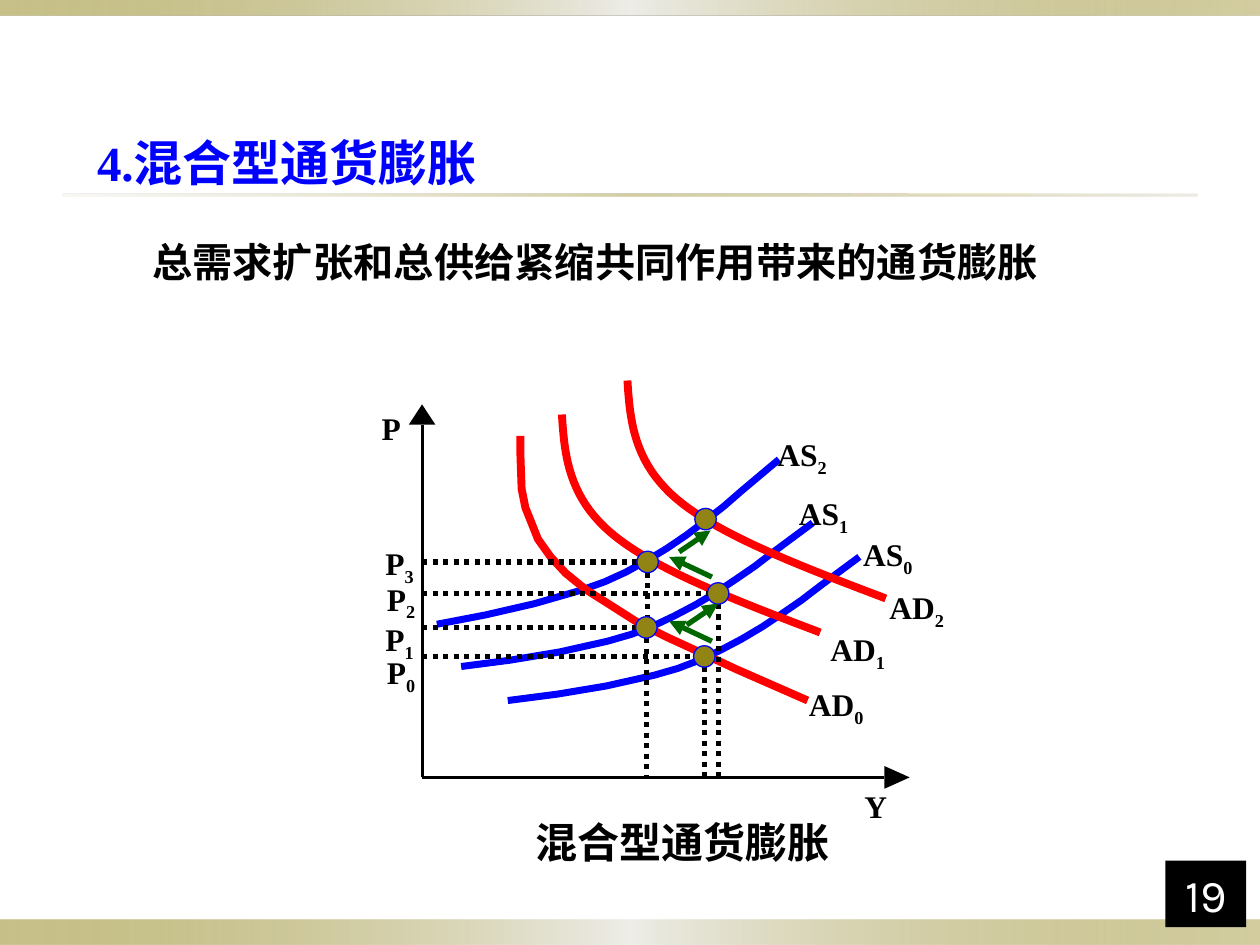
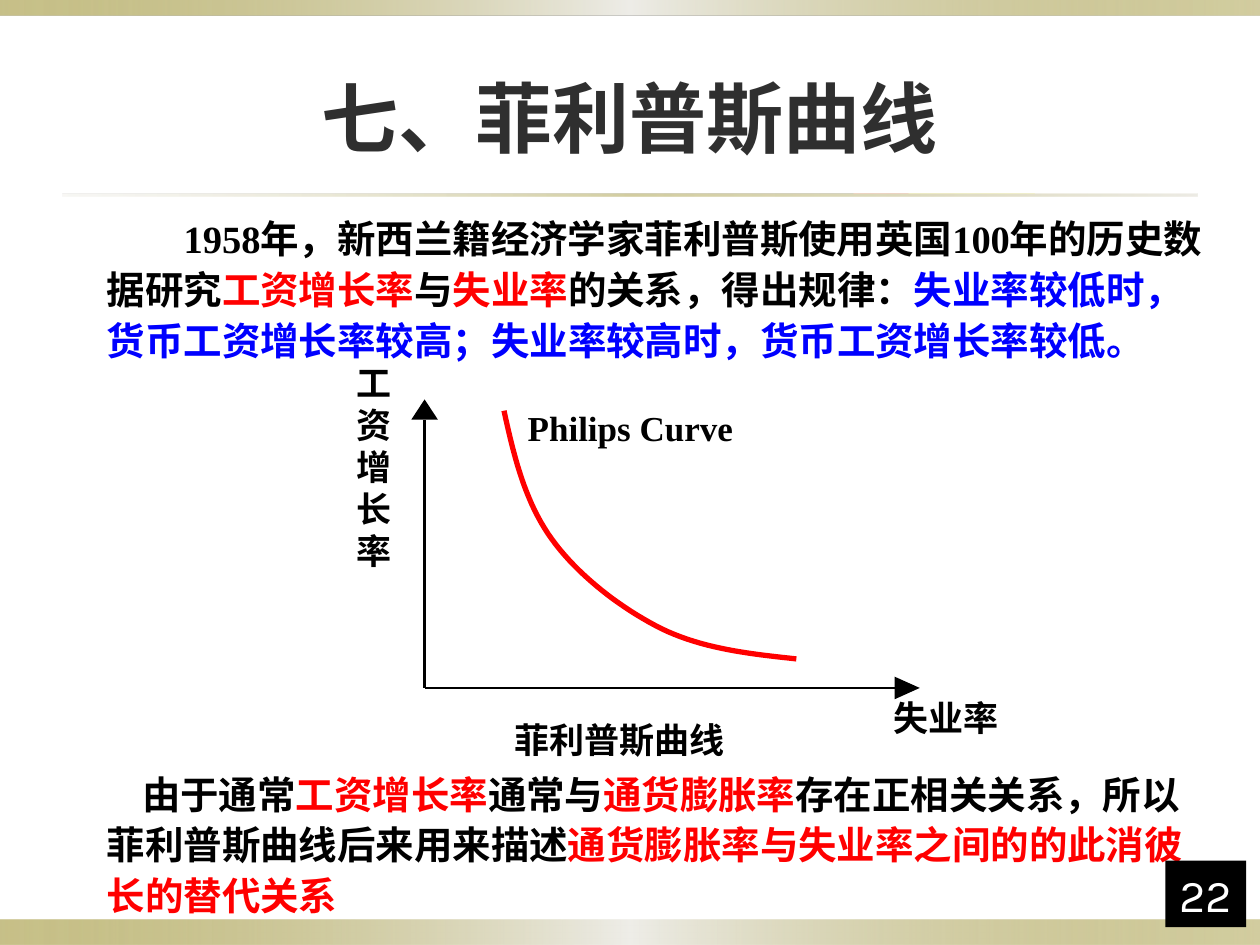
from dataclasses import dataclass
from math import cos, radians, sin

from lxml import etree
from pptx import Presentation
from pptx.dml.color import RGBColor
from pptx.enum.dml import MSO_LINE
from pptx.enum.shapes import MSO_CONNECTOR, MSO_SHAPE
from pptx.enum.text import MSO_ANCHOR, MSO_AUTO_SIZE, PP_ALIGN
from pptx.oxml import parse_xml
from pptx.oxml.ns import qn
from pptx.util import Inches, Pt

STRAIGHT = MSO_CONNECTOR.STRAIGHT
RECTANGLE, OVAL = MSO_SHAPE.RECTANGLE, MSO_SHAPE.OVAL
DOTTED = MSO_LINE.ROUND_DOT
MIDDLE, BOTTOM = MSO_ANCHOR.MIDDLE, MSO_ANCHOR.BOTTOM
LEFT, CENTER = PP_ALIGN.LEFT, PP_ALIGN.CENTER
NO_AUTOFIT = MSO_AUTO_SIZE.NONE

COLORS = {"olive": "918415", "pale": "EEEDE8", "sand": "DCD9CC", "black": "000000",
          "white": "FFFFFF", "blue": "0000FF", "red": "FF0000", "green": "006600",
          "charcoal": "2F2F2F"}
SERIF, SANS, CJK, NUMERALS = "Times New Roman", "Arial", "Noto Sans CJK SC", "Karla"
BAND = [(0, "olive", 50), (50, "pale", 100), (100, "olive", 40)]
RULE = [(0, "sand", 20), (50, "olive", 40), (100, "sand", 50)]
TITLE_ONLY = 5
CELL = 0.1


@dataclass
class Grid:
    slide: object
    column: float = 0
    row: float = 0

    def x(self, columns):
        return Inches((self.column + columns) * CELL)

    def y(self, rows):
        return Inches((self.row + rows) * CELL)

    def box(self, left, top, width, height):
        return self.x(left), self.y(top), Inches(width * CELL), Inches(height * CELL)


def rgb(name):
    return RGBColor.from_string(COLORS[name])


def style_run(run, size, font, color, bold=True):
    run.font.size, run.font.bold, run.font.name = Pt(size), bold, font
    run.font.color.rgb = rgb(color)
    etree.SubElement(run.font._element, qn("a:ea")).set("typeface", CJK)


def add_text(grid, box, pieces, size, font=SERIF, inset=0, wrap=True, indent=0, spacing=None):
    frame = grid.slide.shapes.add_textbox(*grid.box(*box)).text_frame
    frame.word_wrap = wrap
    frame.margin_left = frame.margin_right = Inches(inset)
    frame.margin_top = frame.margin_bottom = Inches(inset / 2)
    paragraph = frame.paragraphs[0]
    properties = paragraph._p.get_or_add_pPr()
    properties.set("marL", "0")
    properties.set("indent", str(Inches(indent * CELL)))
    if spacing:
        paragraph.line_spacing = spacing
    for text, color in pieces:
        run = paragraph.add_run()
        run.text = text
        style_run(run, size, font, color)
    return frame


def add_label(grid, left, top, text, subscript=""):
    pieces = [(part, "black") for part in (text, subscript) if part]
    frame = add_text(grid, (left, top, 5, 3), pieces, 18, wrap=False)
    if subscript:
        frame.paragraphs[0].runs[1].font._element.set("baseline", "-25000")


def add_filled(grid, kind, box, color):
    shape = grid.slide.shapes.add_shape(kind, *grid.box(*box))
    shape.shadow.inherit = False
    shape.fill.solid()
    shape.fill.fore_color.rgb = rgb(color)
    shape.line.fill.background()
    return shape


def add_gradient(grid, box, stops):
    shape = add_filled(grid, RECTANGLE, box, "olive")
    marks = "".join(
        f'<a:gs pos="{place * 1000}"><a:srgbClr val="{COLORS[color]}">'
        f'<a:alpha val="{opacity * 1000}"/></a:srgbClr></a:gs>'
        for place, color, opacity in stops)
    gradient = parse_xml(
        '<a:gradFill xmlns:a="http://schemas.openxmlformats.org/drawingml/2006/main" '
        f'rotWithShape="1"><a:gsLst>{marks}</a:gsLst><a:lin ang="0" scaled="0"/></a:gradFill>')
    solid = shape._element.spPr.find(qn("a:solidFill"))
    solid.getparent().replace(solid, gradient)


def add_line(grid, start, end, color, width, dash=None, arrow=False):
    line = grid.slide.shapes.add_connector(
        STRAIGHT, grid.x(start[0]), grid.y(start[1]), grid.x(end[0]), grid.y(end[1]))
    line.line.color.rgb = rgb(color)
    line.line.width = Pt(width)
    if dash:
        line.line.dash_style = dash
    if arrow:
        etree.SubElement(line.line._get_or_add_ln(), qn("a:tailEnd")).set("type", "triangle")
    etree.SubElement(line._element.spPr, qn("a:effectLst"))


def add_outline(grid, points, close=False):
    corners = [(grid.x(x), grid.y(y)) for x, y in points]
    builder = grid.slide.shapes.build_freeform(*corners[0])
    builder.add_line_segments(corners[1:], close=close)
    outline = builder.convert_to_shape()
    outline.shadow.inherit = False
    return outline


def add_curve(grid, points, color, width):
    curve = add_outline(grid, points)
    curve.fill.background()
    curve.line.color.rgb = rgb(color)
    curve.line.width = Pt(width)


def add_axes(grid, origin, right, top, width):
    x, y = origin
    for end, head in (((right, y), [(right, y - 0.9), (right + 2, y), (right, y + 0.9)]),
                      ((x, top), [(x - 1.05, top), (x, top - 1.6), (x + 1.05, top)])):
        add_line(grid, origin, end, "black", width)
        arrowhead = add_outline(grid, head, close=True)
        arrowhead.fill.solid()
        arrowhead.fill.fore_color.rgb = rgb("black")
        arrowhead.line.fill.background()


def smooth(knots, steps=20):
    points = [knots[0]]
    for first in range(0, len(knots) - 1, 3):
        a, b, c, d = knots[first:first + 4]
        for step in range(1, steps + 1):
            t = step / steps
            weights = (1 - t) ** 3, 3 * t * (1 - t) ** 2, 3 * t * t * (1 - t), t ** 3
            points.append(tuple(sum(w * p[axis] for w, p in zip(weights, (a, b, c, d)))
                                for axis in (0, 1)))
    return points


def shift(points, right, down, angle=0, pivot=(0, 0)):
    c, s = cos(radians(angle)), sin(radians(angle))
    px, py = pivot
    return [(px + (x - px) * c - (y - py) * s + right,
             py + (x - px) * s + (y - py) * c + down) for x, y in points]


def start_slide(deck, title, box, size, font, color, align):
    slide = deck.slides.add_slide(deck.slide_layouts[TITLE_ONLY])
    grid = Grid(slide)
    add_gradient(grid, (0, 73, 100, 2), BAND)
    add_gradient(grid, (0, 0, 100, 1.2), BAND)
    add_gradient(grid, (5, 15.4, 90, 0.2), RULE)
    heading = slide.shapes.title
    heading.left, heading.top, heading.width, heading.height = grid.box(*box)
    frame = heading.text_frame
    frame.text = title
    frame.auto_size, frame.vertical_anchor = NO_AUTOFIT, MIDDLE
    frame.paragraphs[0].alignment = align
    style_run(frame.paragraphs[0].runs[0], size, font, color)
    return grid


def add_page_number(grid, number):
    badge = add_filled(grid, RECTANGLE, (92.5, 68.3, 6.4, 5.3), "black")
    frame = badge.text_frame
    frame.text = number
    frame.vertical_anchor = BOTTOM
    frame.paragraphs[0].alignment = CENTER
    style_run(frame.paragraphs[0].runs[0], 26, NUMERALS, "white", bold=False)


def mixed_inflation_diagram(grid):
    axis, base = 3.5, 31.7
    add_axes(grid, (axis, base), 40.2, 3.7, 1.75)

    supply = [(10.3, 25.6), (14.2, 25.1), (18.1, 24.45), (21.9, 23.6), (23.8, 23.05),
              (25.5, 22.4), (27.2, 21.6), (28.9, 20.7), (30.5, 19.75), (32, 18.75),
              (33.6, 17.65), (35.1, 16.5), (38.2, 14.2)]
    first_demand = [(11.3, 4.6), (11.3, 6), (11.4, 8.8), (11.7, 10.3), (12.7, 12.8),
                    (13.7, 14.2), (14.9, 15.5), (16.5, 16.8), (18.4, 18), (20.6, 19.4),
                    (23, 20.6), (25.6, 21.8), (28.4, 23.1), (34.1, 25.6)]
    demand = smooth([(14.6, 2.9), (14.8, 6.1), (15.1, 9.4), (18.5, 12.3),
                     (21.9, 15.2), (28.5, 17.7), (35.1, 20.2)])
    for points in (supply, shift(supply, -3.7, -2.7),
                   shift(supply, -6, -6.9, -3.5, (24.25, 19.9))):
        add_curve(grid, points, "blue", 4)
    for points in (first_demand, demand, shift(demand, 5.2, -2.7)):
        add_curve(grid, points, "red", 4.5)

    equilibria = [(25.9, 22.1), (21.3, 19.8), (27, 17.1), (21.4, 14.6), (26, 11.2)]
    feet = [base, base, base, 19.9]
    for (x, y), foot in zip(equilibria, feet):
        add_line(grid, (axis, y), (x, y), "black", 3, DOTTED)
        add_line(grid, (x, y), (x, foot), "black", 3, DOTTED)
    for x, y in equilibria:
        dot = add_filled(grid, OVAL, (x - 0.85, y - 0.85, 1.7, 1.7), "olive")
        dot.line.color.rgb = rgb("blue")
        dot.line.width = Pt(0.75)

    for start, (run, rise) in (((26.5, 20.9), (-3.4, -1.6)), ((26.5, 15.8), (-3.4, -1.6)),
                               ((23.9, 13.8), (2.5, -1.7)), ((24.5, 19.6), (2.5, -1.7))):
        add_line(grid, start, (start[0] + run, start[1] + rise), "green", 3, arrow=True)

    label_places = {"P": [(0.7, 21.8), (0.6, 19.2), (0.7, 16), (0.6, 13.2)],
                    "AS": [(38.5, 12.5), (33.4, 9.2), (31.7, 4.5)],
                    "AD": [(34.2, 24.4), (35.9, 20), (40.6, 16.7)]}
    for name, places in label_places.items():
        for index, (left, top) in enumerate(places):
            add_label(grid, left, top, name, str(index))
    add_label(grid, 0.3, 2.5, "P")
    add_label(grid, 38.6, 32.5, "Y")
    add_text(grid, (12.5, 34.8, 30.2, 4), [("混合型通货膨胀", "black")], 24)


def phillips_diagram(grid):
    add_axes(grid, (8.7, 29.6), 46, 8.3, 1.25)
    add_curve(grid, smooth([(15, 7.6), (15.8, 11.3), (16.7, 14.9), (18.8, 17.8),
                            (20.9, 20.7), (24.3, 23.3), (27.5, 24.9),
                            (30.8, 26.5), (34.5, 26.9), (38.2, 27.3)]), "red", 3)
    add_text(grid, (15.9, 6.8, 26.4, 4.3), [("Philips Curve", "black")], 20, inset=0.1)
    add_text(grid, (15.8, 32, 24.5, 3.3), [("菲利普斯曲线", "black")], 20, CJK)
    add_text(grid, (45.9, 30.3, 8.5, 3.4), [("失业率", "black")], 20, wrap=False)
    wage_growth = add_text(grid, (3.3, 3.7, 2.8, 16.8), [], 20, wrap=False)
    wage_growth.text = "\n".join("工资增长率")
    for paragraph in wage_growth.paragraphs:
        style_run(paragraph.runs[0], 20, SERIF, "black")


def mixed_inflation_slide(deck):
    grid = start_slide(deck, "4.混合型通货膨胀", (6.7, 9.2, 35.9, 7.3), 28, SERIF, "blue", LEFT)
    add_text(grid, (11.1, 18.8, 77.3, 6.7),
             [("总需求扩张和总供给紧缩共同作用带来的通货膨胀", "black")],
             23, SANS, inset=0.1, spacing=0.9)
    mixed_inflation_diagram(Grid(grid.slide, 30, 30))
    add_page_number(grid, "19")


def phillips_slide(deck):
    grid = start_slide(deck, "七、菲利普斯曲线", (5, 3, 90, 12.5), 44, CJK, "charcoal", CENTER)
    finding = [("1958年，新西兰籍经济学家菲利普斯使用英国100年的历史数据研究", "black"),
               ("工资增长率", "red"), ("与", "black"), ("失业率", "red"),
               ("的关系，得出规律：", "black"),
               ("失业率较低时，货币工资增长率较高；失业率较高时，货币工资增长率较低。", "blue")]
    implication = [("由于通常", "black"), ("工资增长率", "red"), ("通常与", "black"),
                   ("通货膨胀率", "red"),
                   ("存在正相关关系，所以菲利普斯曲线后来用来描述", "black"),
                   ("通货膨胀率与失业率之间的的此消彼长的替代关系", "red")]
    for top, height, indent, pieces in ((16.2, 15.1, 6.1, finding),
                                        (60.3, 13.1, 2.8, implication)):
        add_text(grid, (7.5, top, 89, height), pieces, 22, inset=0.1, indent=indent, spacing=1.1)
    phillips_diagram(Grid(grid.slide, 25, 25))
    add_page_number(grid, "22")


def main():
    deck = Presentation()
    deck.slide_width, deck.slide_height = Inches(10), Inches(7.5)
    mixed_inflation_slide(deck)
    phillips_slide(deck)
    deck.save("out.pptx")


if __name__ == "__main__":
    main()
